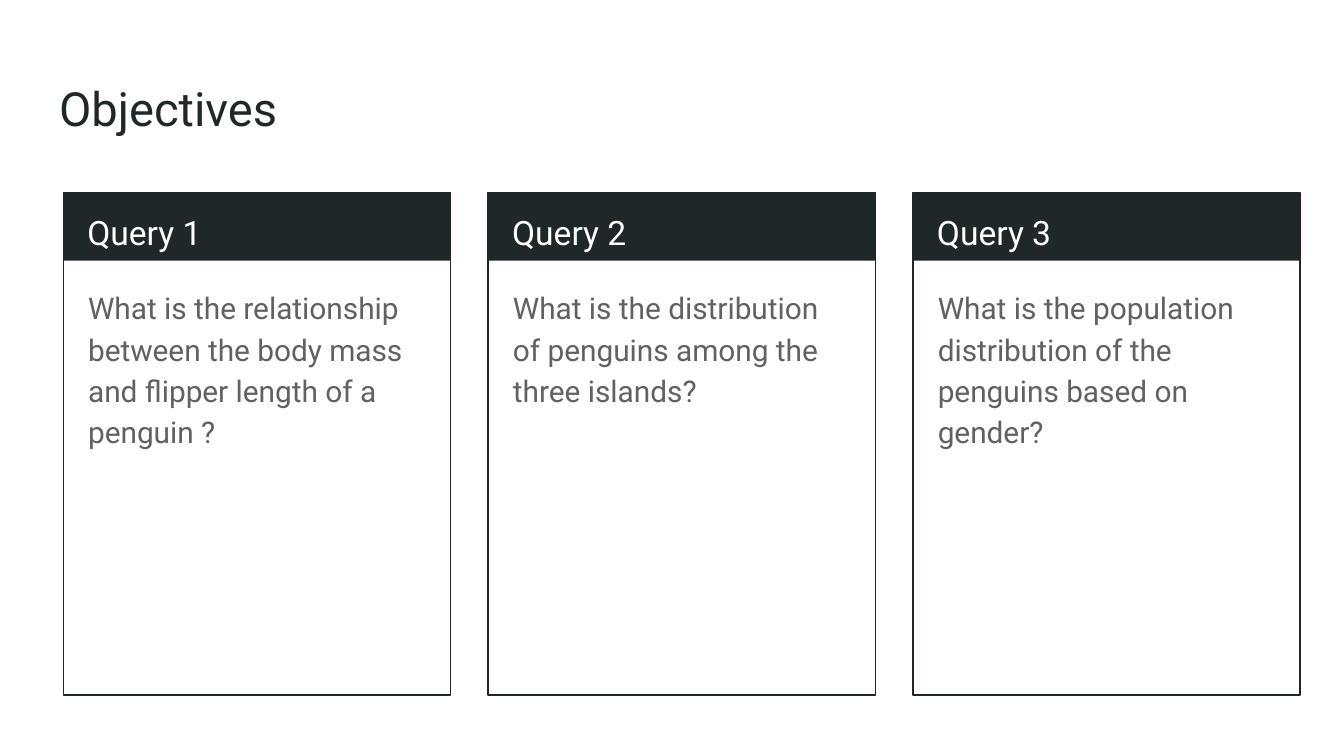
from pptx import Presentation
from pptx import util as u
from pptx.dml.color import RGBColor
from pptx.enum import shapes, text

Pt = u.Pt
DARK = RGBColor(0x20, 0x27, 0x29)
GREY = RGBColor(0x61, 0x61, 0x61)
WHITE = RGBColor(0xFF, 0xFF, 0xFF)

# Card grid, in points
LEFT, TOP, PITCH = 33.9, 103, 227.6
WIDTH, HEIGHT, HEADER_HEIGHT = 207.4, 269.3, 36.7

QUERIES = [
    "What is the relationship between the body mass and flipper length of a penguin ?",
    "What is the distribution of penguins among the three islands?",
    "What is the population distribution of the penguins based on gender?",
]


class SlideBuilder:
    font = "Roboto"
    inset = Pt(7.2)

    def __init__(self, slide):
        self.slide = slide

    def set_text(self, shape, words, size, color):
        frame = shape.text_frame
        frame.word_wrap = True
        frame.auto_size = text.MSO_AUTO_SIZE.NONE
        frame.vertical_anchor = text.MSO_ANCHOR.TOP
        frame.margin_left = frame.margin_right = self.inset
        frame.margin_top = frame.margin_bottom = self.inset
        frame.text = words
        paragraph = frame.paragraphs[0]
        paragraph.alignment = text.PP_ALIGN.LEFT
        paragraph.font.name = self.font
        paragraph.font.size = Pt(size)
        paragraph.font.color.rgb = color
        return paragraph

    def title(self, words, left, top, width, height):
        shape = self.slide.shapes.title
        shape.left, shape.top = Pt(left), Pt(top)
        shape.width, shape.height = Pt(width), Pt(height)
        paragraph = self.set_text(shape, words, 25.2, DARK)
        paragraph.line_spacing = 1.0
        paragraph.space_before = Pt(0)

    def label(self, words, left, top, width, height, size, color, after=0):
        shape = self.slide.shapes.add_textbox(Pt(left), Pt(top), Pt(width), Pt(height))
        paragraph = self.set_text(shape, words, size, color)
        paragraph.line_spacing = 1.15
        paragraph.space_after = Pt(after)

    def rectangle(self, group, left, height, filled):
        shape = group.shapes.add_shape(
            shapes.MSO_SHAPE.RECTANGLE, Pt(left), Pt(TOP), Pt(WIDTH), Pt(height))
        shape.shadow.inherit = False
        if filled:
            shape.fill.solid()
            shape.fill.fore_color.rgb = DARK
            shape.line.fill.background()
        else:
            shape.fill.background()
            shape.line.color.rgb = DARK
            shape.line.width = Pt(0.75)

    def card(self, left, heading, question):
        # Header band and frame
        group = self.slide.shapes.add_group_shape()
        self.rectangle(group, left, HEADER_HEIGHT, filled=True)
        self.rectangle(group, left, HEIGHT, filled=False)
        # Heading and question
        self.label(heading, left + 5.8, TOP, 196.6, 36, 18, WHITE)
        self.label(question, left + 6.2, 145.4, 195.1, 220.3, 16, GREY, after=12)


def main():
    presentation = Presentation()
    presentation.slide_width, presentation.slide_height = Pt(720), Pt(405)
    builder = SlideBuilder(presentation.slides.add_slide(presentation.slide_layouts[5]))

    # Title
    builder.title("Objectives", 24.5, 35.3, 671, 45.4)

    # One card per query
    for index, question in enumerate(QUERIES):
        builder.card(LEFT + index * PITCH, f"Query {index + 1}", question)

    presentation.save("out.pptx")


if __name__ == "__main__":
    main()
